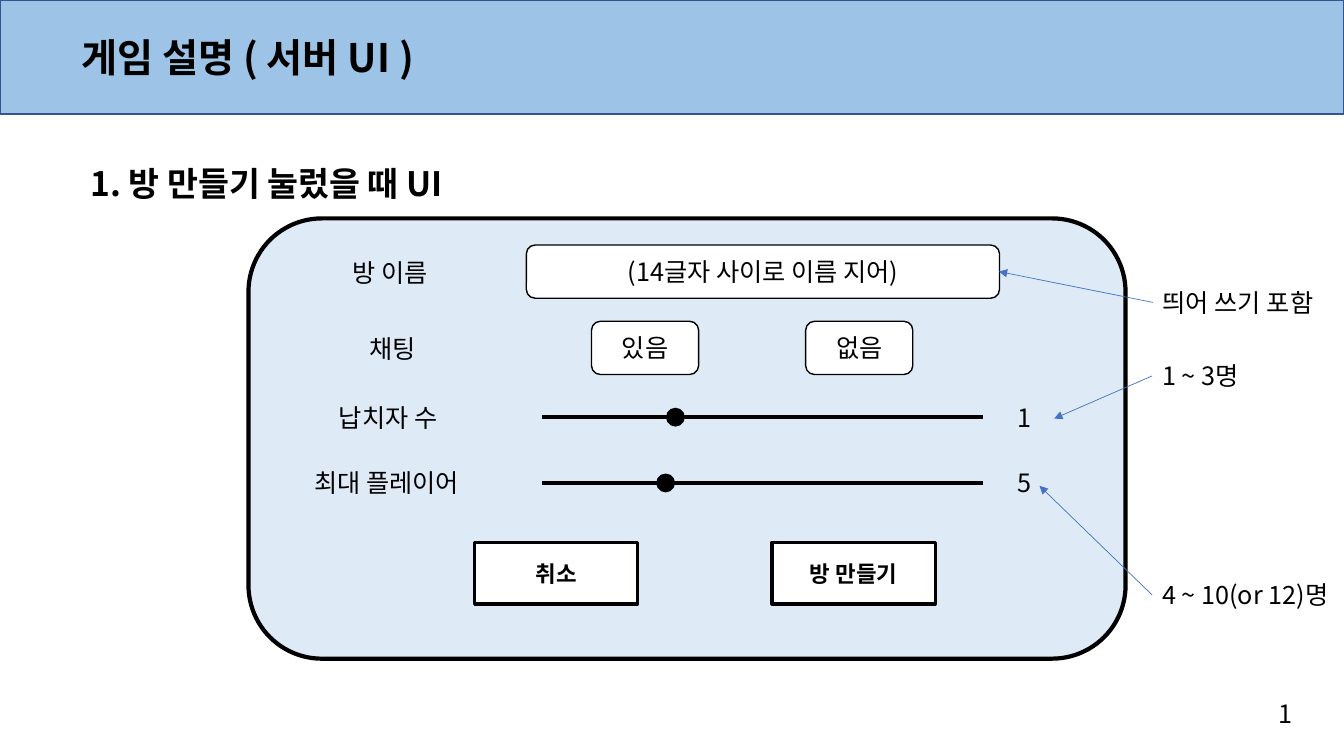
from pptx import Presentation
from pptx.dml.color import RGBColor
from pptx.enum.shapes import MSO_CONNECTOR, MSO_SHAPE
from pptx.enum.text import MSO_ANCHOR, PP_ALIGN
from pptx.oxml.ns import qn
from pptx.util import Pt
from lxml.etree import SubElement

FONT = "Noto Sans CJK KR"
BLACK, WHITE, ARROW_BLUE = "000000", "FFFFFF", "4472C4"
LABEL_CENTER = 282.5
TEXT_HEIGHT = 29


def color(value):
    return RGBColor.from_string(value)


def add_text(tf, text, size=18, bold=False, align=PP_ALIGN.LEFT):
    p = tf.paragraphs[0]
    p.alignment = align
    p.line_spacing = 1.0
    r = p.add_run()
    r.text = text
    r.font.size = Pt(size)
    r.font.bold = bold
    r.font.color.rgb = color(BLACK)
    r.font.name = FONT
    SubElement(r.font._element, qn("a:ea")).set("typeface", FONT)


def add_box(s, kind, x, y, w, h, fill, line=None, weight=1.0):
    sp = s.shapes.add_shape(kind, Pt(x), Pt(y), Pt(w), Pt(h))
    sp.shadow.inherit = False
    sp.fill.solid()
    sp.fill.fore_color.rgb = color(fill)
    if line:
        sp.line.color.rgb = color(line)
        sp.line.width = Pt(weight)
    else:
        sp.line.fill.background()
    return sp


def add_button(s, kind, x, y, w, h, text, weight=1.0, size=18, bold=False):
    sp = add_box(s, kind, x, y, w, h, WHITE, BLACK, weight)
    tf = sp.text_frame
    tf.vertical_anchor = MSO_ANCHOR.MIDDLE
    add_text(tf, text, size, bold, PP_ALIGN.CENTER)


def add_label(s, x, middle, w, text, wrap=True, h=TEXT_HEIGHT, **style):
    sp = s.shapes.add_textbox(Pt(x), Pt(middle - h / 2), Pt(w), Pt(h))
    sp.text_frame.word_wrap = wrap
    add_text(sp.text_frame, text, **style)


def add_line(s, x1, y1, x2, y2, line, weight, arrow=False):
    cn = s.shapes.add_connector(MSO_CONNECTOR.STRAIGHT, Pt(x1), Pt(y1), Pt(x2), Pt(y2))
    cn.line.color.rgb = color(line)
    cn.line.width = Pt(weight)
    if arrow:
        SubElement(cn.line._get_or_add_ln(), qn("a:tailEnd")).set("type", "triangle")
    SubElement(cn._element.spPr, qn("a:effectLst"))


def add_slider(s, middle, knob_x, value):
    knob = 13.5
    add_line(s, 387.5, middle, 702, middle, BLACK, 3)
    add_box(s, MSO_SHAPE.OVAL, knob_x - knob / 2, middle - knob / 2, knob, knob, BLACK)
    add_label(s, 719.5, middle, 24.5, value)


def add_note(s, x, y, w, text, target):
    add_line(s, x, y, *target, ARROW_BLUE, 0.5, arrow=True)
    add_label(s, x, y, w, text, wrap=False)


def main():
    prs = Presentation()
    prs.slide_width, prs.slide_height = Pt(960), Pt(540)
    s = prs.slides.add_slide(prs.slide_layouts[5])

    # Title on its banner
    banner = add_box(s, MSO_SHAPE.RECTANGLE, 0, 0, 960, 81.5, "9DC3E6", "325491")
    title = s.shapes.title
    title._element.addprevious(banner._element)
    title.left, title.top, title.width, title.height = Pt(51), Pt(20.5), Pt(333.5), Pt(41)
    tf = title.text_frame
    tf.word_wrap = True
    tf.vertical_anchor = MSO_ANCHOR.TOP
    add_text(tf, "게임 설명 ( 서버 UI )", size=28, bold=True)

    # Dialog panel and heading
    add_box(s, MSO_SHAPE.ROUNDED_RECTANGLE, 177.5, 156, 626.5, 314.5, "DEEBF7", BLACK, 3)
    add_label(s, 57.5, 130.5, 296.5, "1. 방 만들기 눌렀을 때 UI", wrap=False, h=36,
              size=24, bold=True)

    # Row labels, centred on one axis
    for text, middle, w in [("방 이름", 195, 76), ("채팅", 249, 51),
                            ("납치자 수", 298, 95), ("최대 플레이어", 345, 130)]:
        add_label(s, LABEL_CENTER - w / 2, middle, w, text)

    # Name field and chat options
    for x, y, w, text in [(376, 175, 338, "(14글자 사이로 이름 지어)"),
                          (422.5, 229.5, 76.5, "있음"), (575.5, 229.5, 76.5, "없음")]:
        add_button(s, MSO_SHAPE.ROUNDED_RECTANGLE, x, y, w, 38, text)

    # Sliders
    add_slider(s, 298, 482.5, "1")
    add_slider(s, 345, 475.5, "5")

    # Dialog buttons
    for x, text in [(339, "취소"), (551.5, "방 만들기")]:
        add_button(s, MSO_SHAPE.RECTANGLE, x, 387.5, 116.5, 44, text, 2.25, 16, True)

    # Notes with arrows
    add_note(s, 823.5, 216, 137, "띄어 쓰기 포함", (713.5, 194))
    add_note(s, 823, 268.5, 78.5, "1 ~ 3명", (753, 299))
    add_note(s, 823, 425, 143.5, "4 ~ 10(or 12)명", (742.5, 347))

    # Page number
    add_label(s, 906.5, 510, 24.5, "1", wrap=False)

    prs.save("out.pptx")


if __name__ == "__main__":
    main()
